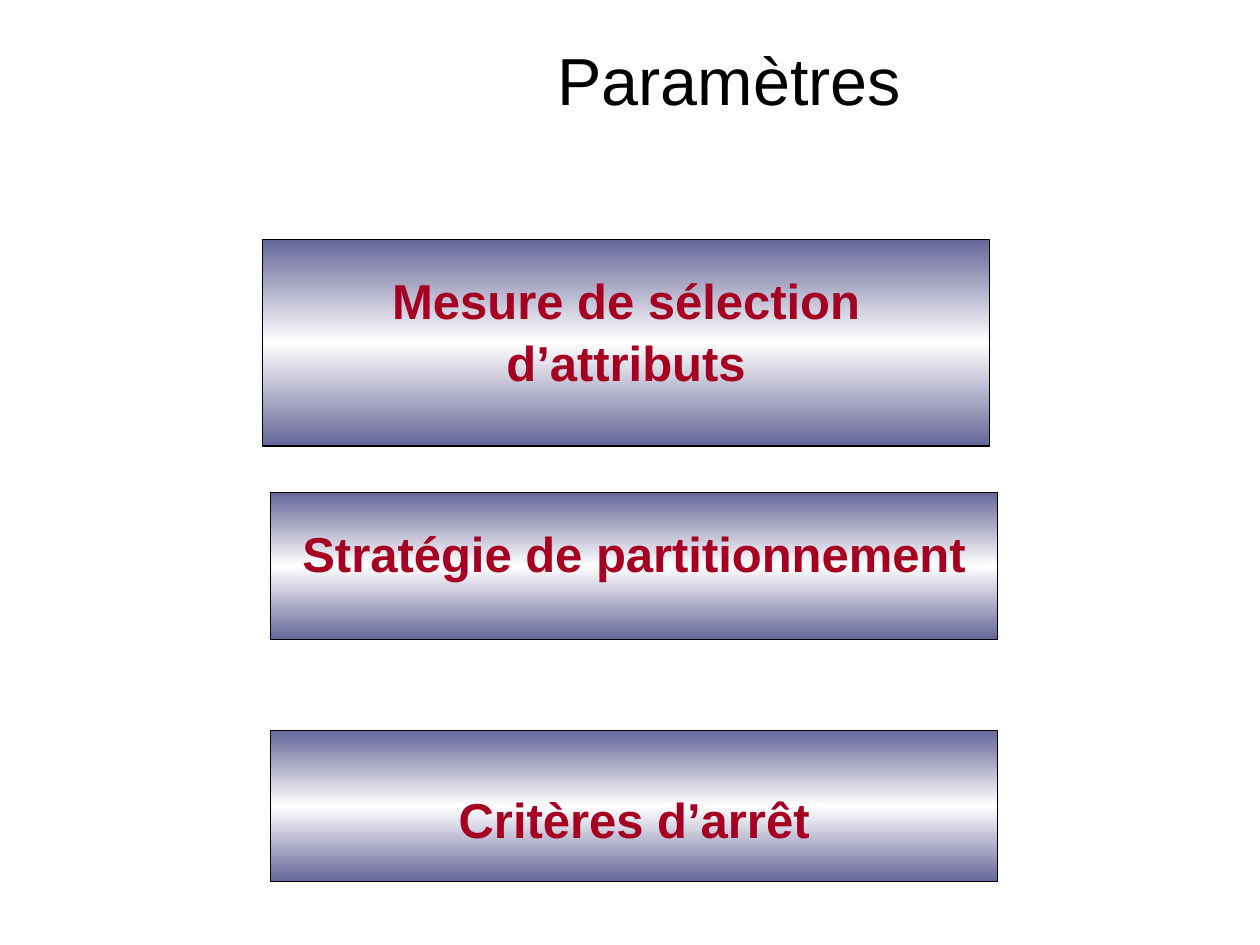
from copy import deepcopy
from dataclasses import dataclass

from pptx import Presentation
from pptx.dml.color import RGBColor as Color
from pptx.enum.shapes import MSO_SHAPE as Shape
from pptx.enum.text import MSO_ANCHOR as Anchor, PP_ALIGN as Align
from pptx.oxml.ns import qn
from pptx.util import Pt


@dataclass(frozen=True)
class Theme:
    font: str = "Arial"
    title_size: float = 38
    label_size: float = 28
    ink: str = "000000"
    accent: str = "A50021"
    band: tuple = ("666699", "FFFFFF", "666699")


THEME = Theme()
TITLE = "Paramètres"
BAND_WIDTH = 415.5
BANDS = [
    {"text": "Mesure de sélection d’attributs", "left": 150, "top": 136.8, "height": 118, "inset": 16},
    {"text": "Stratégie de partitionnement", "left": 154.6, "top": 281.4, "height": 84, "inset": 16},
    {"text": "Critères d’arrêt", "left": 154.6, "top": 417.4, "height": 86.4, "inset": 32},
]


def write_text(box, text, *, size, color, bold=False, inset=3.6, spacing=1.0):
    frame = box.text_frame
    frame.word_wrap = True
    frame.vertical_anchor = Anchor.TOP
    frame.margin_top = Pt(inset)
    para = frame.paragraphs[0]
    para.alignment = Align.CENTER
    para.line_spacing = spacing
    span = para.add_run()
    span.text = text
    span.font.name = THEME.font
    span.font.size = Pt(size)
    span.font.bold = bold
    span.font.color.rgb = Color.from_string(color)


def fill_gradient(box, colors):
    box.fill.gradient()
    box.fill.gradient_angle = 90
    stop_list = box._element.spPr.find(qn("a:gradFill")).find(qn("a:gsLst"))
    while len(stop_list) < len(colors):
        stop_list.append(deepcopy(stop_list[0]))
    for index, (stop, color) in enumerate(zip(box.fill.gradient_stops, colors)):
        stop.position = index / (len(colors) - 1)
        stop.color.rgb = Color.from_string(color)


def add_band(page, text, left, top, height, inset):
    box = page.shapes.add_shape(Shape.RECTANGLE, Pt(left), Pt(top), Pt(BAND_WIDTH), Pt(height))
    box.shadow.inherit = False
    fill_gradient(box, THEME.band)
    box.line.color.rgb = Color.from_string(THEME.ink)
    box.line.width = Pt(0.75)
    write_text(box, text, size=THEME.label_size, color=THEME.accent, bold=True, inset=inset, spacing=1.05)


def main():
    deck = Presentation()
    deck.slide_width, deck.slide_height = Pt(720), Pt(540)
    page = deck.slides.add_slide(deck.slide_layouts[6])
    title = page.shapes.add_textbox(Pt(110.9), Pt(15.1), Pt(612), Pt(52.6))
    write_text(title, TITLE, size=THEME.title_size, color=THEME.ink, inset=7)
    for band in BANDS:
        add_band(page, **band)
    deck.save("out.pptx")


if __name__ == "__main__":
    main()
